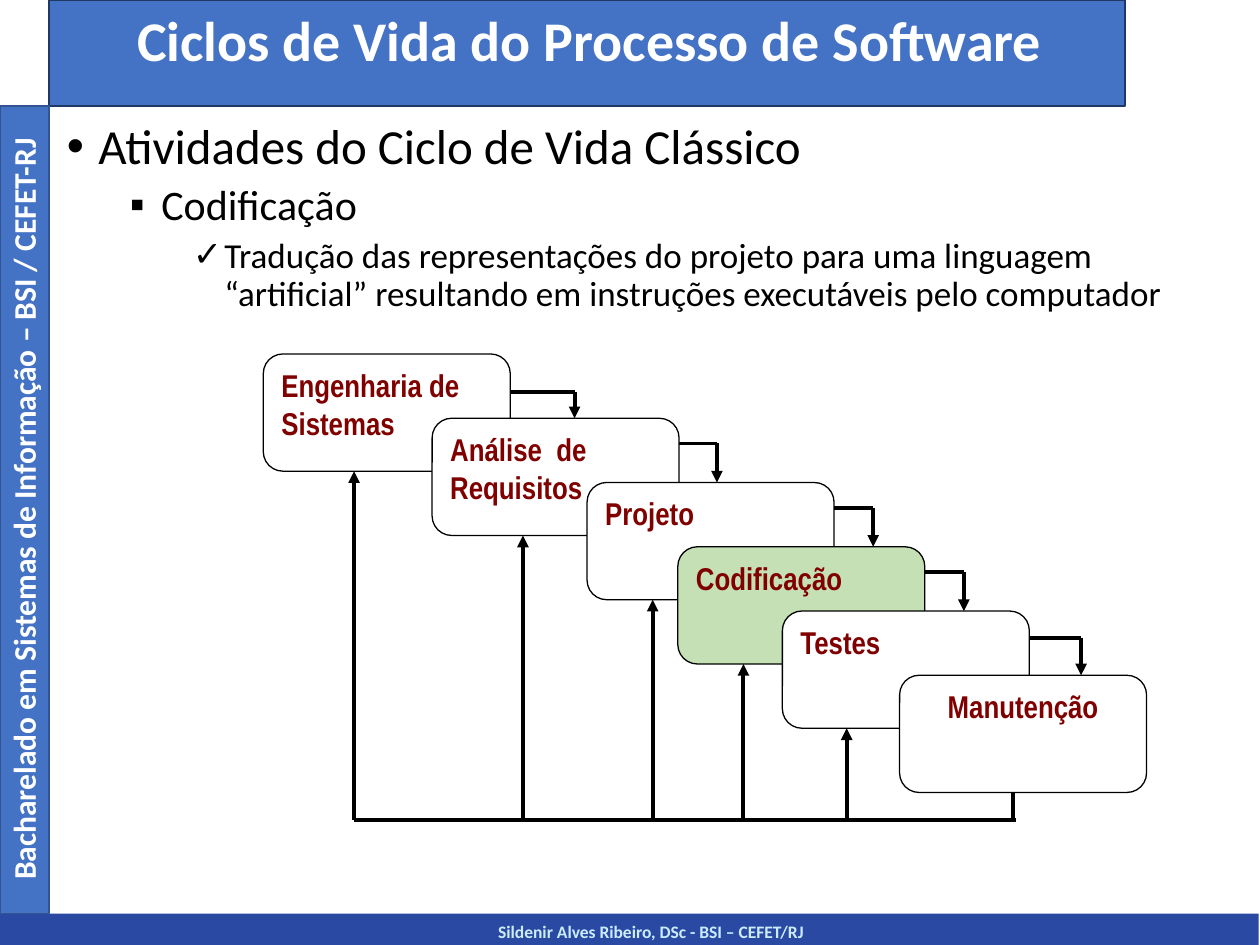
from lxml import etree
from pptx import Presentation
from pptx.dml.color import RGBColor
from pptx.enum.shapes import MSO_CONNECTOR, MSO_SHAPE
from pptx.enum.text import MSO_ANCHOR, MSO_AUTO_SIZE, PP_ALIGN
from pptx.oxml.ns import qn
from pptx.util import Inches, Pt

LEFT, CENTER = PP_ALIGN.LEFT, PP_ALIGN.CENTER
TOP, MIDDLE = MSO_ANCHOR.TOP, MSO_ANCHOR.MIDDLE
RECTANGLE, ROUNDED = MSO_SHAPE.RECTANGLE, MSO_SHAPE.ROUNDED_RECTANGLE

WHITE = RGBColor(0xFF, 0xFF, 0xFF)
BLACK = RGBColor(0, 0, 0)
BLUE = RGBColor(0x44, 0x72, 0xC4)
FOOTER_BLUE = RGBColor(0x29, 0x49, 0xA3)
FOOTER_TEXT = RGBColor(0xCC, 0xEC, 0xFF)
TITLE_EDGE = RGBColor(0x20, 0x38, 0x64)
SIDE_EDGE = RGBColor(0x32, 0x54, 0x91)
GREEN = RGBColor(0xC5, 0xE0, 0xB4)
MAROON = RGBColor(0x80, 0, 0)

TITLE = "Ciclos de Vida do Processo de Software"
SIDE_LABEL = "Bacharelado em Sistemas de Informação – BSI / CEFET-RJ"
FOOTER = "Sildenir Alves Ribeiro, DSc - BSI – CEFET/RJ"

# text, bullet, size, space before
BULLETS = [
    ("Atividades do Ciclo de Vida Clássico", "•", 28, 10),
    ("Codificação", "▪", 24, 5),
    ("Tradução das representações do projeto para uma linguagem “artificial” "
     "resultando em instruções executáveis pelo computador", "✓", 20, 5),
]

# name, left, fill, alignment, feedback x, (elbow x, elbow rise)
STAGES = [
    ("Engenharia de Sistemas", 2.09, WHITE, LEFT, 2.81, (4.56, 0.21)),
    ("Análise  de Requisitos", 3.43, WHITE, LEFT, 4.15, (5.69, 0.31)),
    ("Projeto", 4.66, WHITE, LEFT, 5.18, (6.93, 0.31)),
    ("Codificação", 5.38, GREEN, LEFT, 5.9, (7.65, 0.31)),
    ("Testes", 6.21, WHITE, LEFT, 6.72, (8.58, 0.3)),
    ("Manutenção", 7.14, WHITE, CENTER, 8.04, None),
]
FIRST_TOP, STEP = 2.81, 0.51
STAGE_WIDTH, STAGE_HEIGHT = 1.96, 0.93
FEEDBACK_Y = 6.51


def write(paragraph, text, size, color, font="Calibri", bold=True, align=CENTER, spacing=None):
    paragraph.alignment = align
    paragraph.line_spacing = spacing
    run = paragraph.add_run()
    run.text = text
    run.font.name = font
    run.font.size = Pt(size)
    run.font.bold = bold
    run.font.color.rgb = color


def place(shape, left, top, width, height):
    shape.left, shape.top = Inches(left), Inches(top)
    shape.width, shape.height = Inches(width), Inches(height)


def add_box(slide, kind, box, fill, edge=None, edge_width=1):
    shape = slide.shapes.add_shape(kind, *map(Inches, box))
    shape.shadow.inherit = False
    shape.fill.solid()
    shape.fill.fore_color.rgb = fill
    if edge is None:
        shape.line.fill.background()
    else:
        shape.line.color.rgb = edge
        shape.line.width = Pt(edge_width)
    return shape


def add_label(slide, box, text, size, color, rotation=0):
    label = slide.shapes.add_textbox(*map(Inches, box))
    label.rotation = rotation
    label.text_frame.word_wrap = True
    write(label.text_frame.paragraphs[0], text, size, color)


def add_line(slide, start, end, arrow=False):
    line = slide.shapes.add_connector(MSO_CONNECTOR.STRAIGHT, *map(Inches, start + end))
    line.line.color.rgb = BLACK
    line.line.width = Pt(2.25)
    if arrow:
        etree.SubElement(line.line._get_or_add_ln(), qn("a:tailEnd"), type="triangle")
    etree.SubElement(line.element.spPr, qn("a:effectLst"))


def set_bullet(paragraph, character, level):
    properties = paragraph._p.get_or_add_pPr()
    properties.set("marL", str(Inches(0.25 + 0.5 * level)))
    properties.set("indent", str(Inches(-0.25)))
    etree.SubElement(properties, qn("a:buFont"), typeface="Arial")
    etree.SubElement(properties, qn("a:buChar"), char=character)


def add_frame(slide):
    add_box(slide, RECTANGLE, (0, 7.25, 9.99, 0.25), FOOTER_BLUE)
    add_label(slide, (0.51, 7.26, 9.31, 0.25), FOOTER, 10, FOOTER_TEXT)
    add_box(slide, RECTANGLE, (0.39, 0, 8.54, 0.84), BLUE, TITLE_EDGE)
    add_box(slide, RECTANGLE, (0, 0.84, 0.39, 6.41), BLUE, SIDE_EDGE)
    add_label(slide, (-3.02, 3.84, 6.41, 0.4), SIDE_LABEL, 18, WHITE, rotation=270)


def fill_placeholders(slide):
    title, body = slide.shapes.title, slide.placeholders[1]
    place(title, 0.43, 0.05, 8.5, 0.76)
    place(body, 0.43, 0.92, 9.45, 1.81)
    for placeholder in (title, body):
        placeholder.text_frame.auto_size = MSO_AUTO_SIZE.NONE
        placeholder.text_frame.vertical_anchor = TOP
        placeholder.element.getparent().append(placeholder.element)
    write(title.text_frame.paragraphs[0], TITLE, 32, WHITE, spacing=0.9)
    for level, (text, character, size, before) in enumerate(BULLETS):
        frame = body.text_frame
        paragraph = frame.add_paragraph() if level else frame.paragraphs[0]
        paragraph.level = level
        write(paragraph, text, size, BLACK, bold=False, align=LEFT, spacing=0.9)
        paragraph.space_before = Pt(before)
        set_bullet(paragraph, character, level)


def add_waterfall(slide):
    for index, (name, left, fill, align, _, _) in enumerate(STAGES):
        box = (left, FIRST_TOP + index * STEP, STAGE_WIDTH, STAGE_HEIGHT)
        stage = add_box(slide, ROUNDED, box, fill, BLACK, 0.75)
        stage.text_frame.word_wrap = True
        stage.text_frame.vertical_anchor = TOP
        write(stage.text_frame.paragraphs[0], name, 18, MAROON, font="Arial Narrow", align=align)

    for index, (_, left, _, _, feedback_x, elbow) in enumerate(STAGES):
        top = FIRST_TOP + index * STEP
        bottom = (feedback_x, top + STAGE_HEIGHT)
        add_line(slide, (feedback_x, FEEDBACK_Y), bottom, arrow=elbow is not None)
        if elbow:
            elbow_x, rise = elbow
            next_top = top + STEP
            corner = (elbow_x, next_top - rise)
            add_line(slide, (left + STAGE_WIDTH, next_top - rise), corner)
            add_line(slide, corner, (elbow_x, next_top), arrow=True)
    add_line(slide, (STAGES[0][4], FEEDBACK_Y), (8.06, FEEDBACK_Y))


def main():
    presentation = Presentation()
    presentation.slide_width, presentation.slide_height = Inches(10), Inches(7.5)
    slide = presentation.slides.add_slide(presentation.slide_layouts[1])
    add_frame(slide)
    fill_placeholders(slide)
    add_waterfall(slide)
    presentation.save("out.pptx")


if __name__ == "__main__":
    main()
